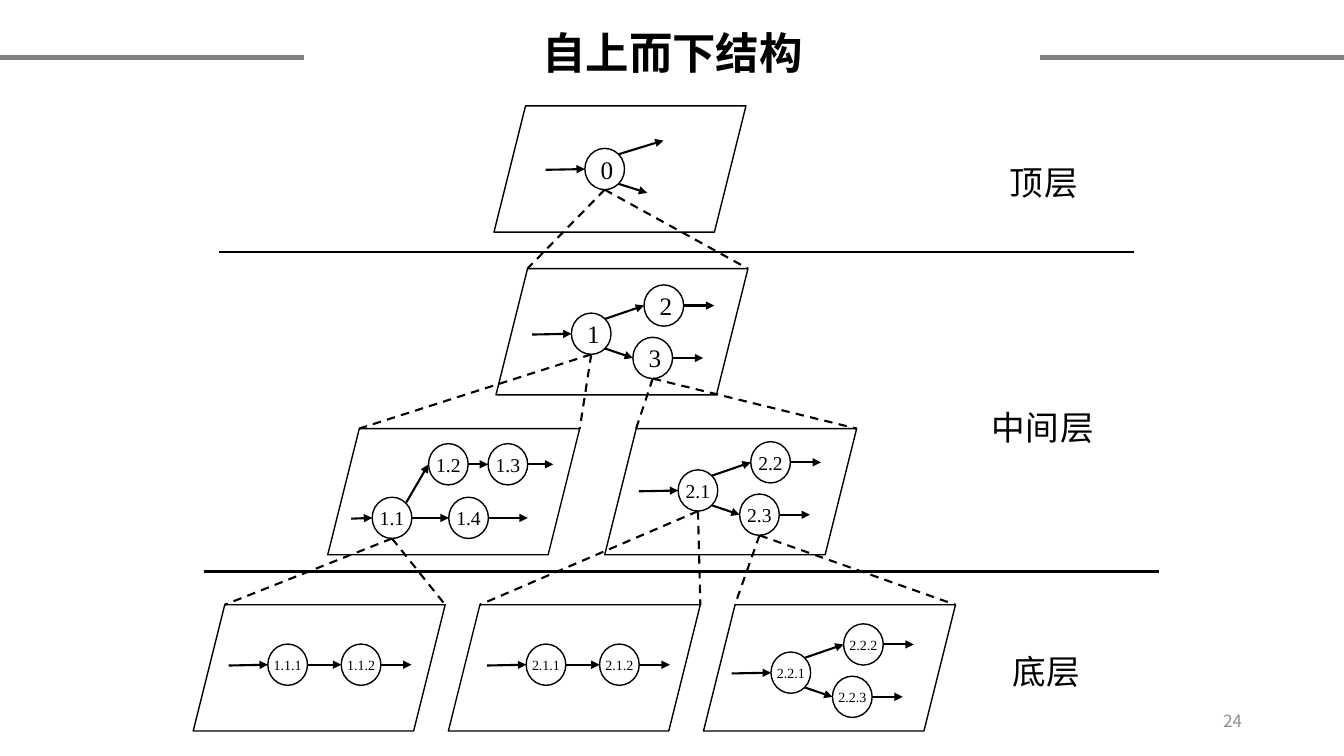
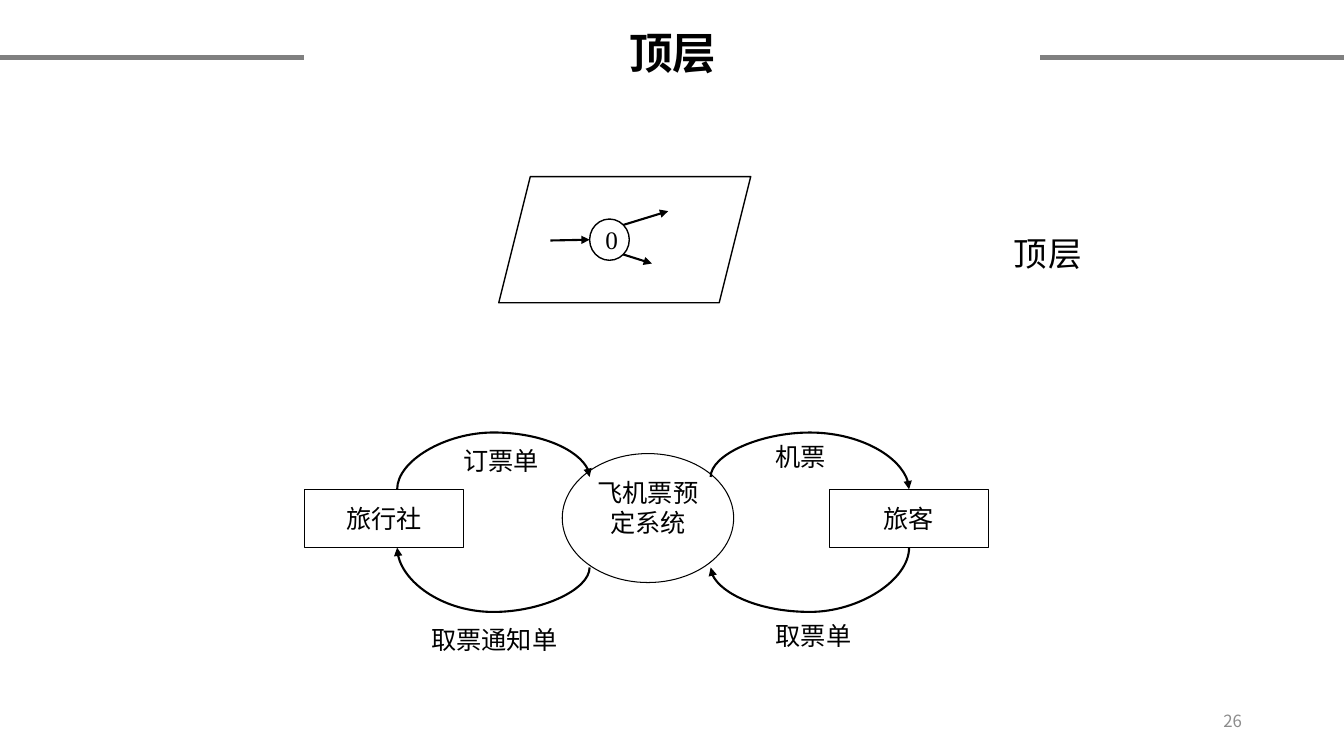
import lxml.etree
import pptx
import pptx.dml.color
import pptx.enum.dml
import pptx.enum.shapes
import pptx.enum.text
import pptx.oxml.ns
import pptx.util

Cm = pptx.util.Cm
Pt = pptx.util.Pt
qn = pptx.oxml.ns.qn
SHAPE = pptx.enum.shapes.MSO_SHAPE
CONNECTOR = pptx.enum.shapes.MSO_CONNECTOR
ANCHOR = pptx.enum.text.MSO_ANCHOR
ALIGN = pptx.enum.text.PP_ALIGN

COLORS = {"ink": "000000", "paper": "FFFFFF", "rule": "808080", "page": "8C8C8C"}
SANS, SERIF, LABEL = "Noto Sans CJK SC", "Times New Roman", "Arial"
SLIDE_W, SLIDE_H = 33.87, 19.05
PANEL_W, PANEL_H, PANEL_SLANT = 6.35, 3.18, 0.79
NODE_W, NODE_H = 1.0, 1.04
EXIT = 0.77


def rgb(name):
    return pptx.dml.color.RGBColor.from_string(COLORS[name])


def write(frame, text, size, face, color="ink", align=ALIGN.LEFT, bold=False):
    paragraph = frame.paragraphs[0]
    paragraph.text = text
    paragraph.alignment = align
    font = paragraph.font
    font.size = Pt(size)
    font.name = face
    font.bold = bold
    font.color.rgb = rgb(color)
    lxml.etree.SubElement(font._rPr, qn("a:ea"), typeface=face)
    return paragraph


def text_box(slide, left, top, width, height, wrap=False, anchor=ANCHOR.TOP):
    frame = slide.shapes.add_textbox(Cm(left), Cm(top), Cm(width), Cm(height)).text_frame
    frame.word_wrap = wrap
    frame.vertical_anchor = anchor
    return frame


def outline(slide, kind, left, top, width, height, weight=1, filled=True):
    shape = slide.shapes.add_shape(kind, Cm(left), Cm(top), Cm(width), Cm(height))
    shape.shadow.inherit = False
    if filled:
        shape.fill.solid()
        shape.fill.fore_color.rgb = rgb("paper")
    else:
        shape.fill.background()
    shape.line.color.rgb = rgb("ink")
    shape.line.width = Pt(weight)
    return shape


def connect(slide, start, end, arrow=False, dashed=False, color="ink", weight=1.5,
            kind=CONNECTOR.STRAIGHT):
    connector = slide.shapes.add_connector(kind, *(Cm(v) for v in (*start, *end)))
    connector.line.color.rgb = rgb(color)
    connector.line.width = Pt(weight)
    if dashed:
        connector.line.dash_style = pptx.enum.dml.MSO_LINE.DASH
    properties = connector._element.spPr
    if arrow:
        lxml.etree.SubElement(properties.find(qn("a:ln")), qn("a:tailEnd"), type="triangle")
    lxml.etree.SubElement(properties, qn("a:effectLst"))
    return connector


def arc(slide, start, end, crest, turn=1):
    dx, dy = end[0] - start[0], end[1] - start[1]
    mid_x, mid_y = (start[0] + end[0]) / 2, (start[1] + end[1]) / 2
    along, across = turn * dy / 2, -turn * dx / 2
    curve = connect(slide, (mid_x - along, mid_y - across), (mid_x + along, mid_y + across),
                    arrow=True, kind=CONNECTOR.CURVE)
    properties = curve._element.spPr
    properties.find(qn("a:xfrm")).set("rot", str(5400000 if turn > 0 else 16200000))
    bend = round((crest - start[1]) / dy * 100000)
    lxml.etree.SubElement(properties.find(qn("a:prstGeom")).find(qn("a:avLst")),
                          qn("a:gd"), name="adj1", fmla=f"val {bend}")


def frame_slide(deck, title, page):
    slide = deck.slides.add_slide(deck.slide_layouts[6])
    number = text_box(slide, 23.93, 17.65, 7.62, 1.02, True, ANCHOR.MIDDLE)
    write(number, page, 12, SANS, "page", ALIGN.RIGHT)
    heading = text_box(slide, 3.28, -0.15, 27.33, 3.1, True, ANCHOR.MIDDLE)
    paragraph = write(heading, title, 31, SANS, align=ALIGN.CENTER, bold=True)
    paragraph.line_spacing = 0.9
    paragraph.space_after = Pt(12)
    for left in (0, SLIDE_W - 7.65):
        connect(slide, (left, 1.45), (left + 7.65, 1.45), color="rule", weight=3)
    return slide


def tier_label(slide, text, left, top):
    frame = text_box(slide, left, top, 0.86 * len(text) + 0.54, 1.8)
    paragraph = write(frame, text, 24, LABEL)
    paragraph.line_spacing = 1.5
    paragraph.font._rPr.set("spc", "50")


def panel(slide, left, top):
    outline(slide, SHAPE.PARALLELOGRAM, left, top, PANEL_W, PANEL_H)


def process(slide, number, left, top, size, leaving=0, entering=0):
    node = outline(slide, SHAPE.FLOWCHART_CONNECTOR, left, top, NODE_W, NODE_H)
    frame = node.text_frame
    if size < 18:
        frame.margin_left = frame.margin_right = frame.margin_top = frame.margin_bottom = 0
    write(frame, number, size, SERIF, align=ALIGN.CENTER)
    middle = top + NODE_H / 2
    if entering:
        connect(slide, (left - entering, middle + 0.02), (left, middle), arrow=True)
    if leaving:
        connect(slide, (left + NODE_W, middle), (left + NODE_W + leaving, middle), arrow=True)
    return left + NODE_W / 2, top + NODE_H


def branch(slide, left, top, upper, lower):
    connect(slide, (left + 0.84, top + 0.15), upper, arrow=True)
    connect(slide, (left + 0.84, top + 0.89), lower, arrow=True)


def system_panel(slide, left, top):
    panel(slide, left, top)
    x, y = left + 2.29, top + 1.07
    root = process(slide, "0", x, y, 18, entering=0.99)
    branch(slide, x, y, (x + 1.98, y - 0.2), (x + 1.57, y + 1.12))
    return root


def fan_panel(slide, left, top, numbers, size, dx, dy):
    panel(slide, left, top)
    x, y = left + dx, top + dy
    upper, lower = (x + 1.83, y - 0.71), (x + 1.55, y + 0.61)
    root = process(slide, numbers[0], x, y, size, entering=0.99)
    branch(slide, x, y, (upper[0], upper[1] + NODE_H / 2), (lower[0], lower[1] + NODE_H / 2))
    return [root] + [process(slide, number, *place, size, EXIT)
                     for number, place in zip(numbers[1:], (upper, lower))]


def chain_panel(slide, left, top, numbers, dx):
    panel(slide, left, top)
    x, y, pitch = left + dx, top + 0.99, 1.85
    process(slide, numbers[0], x, y, 10, pitch - NODE_W, 0.99)
    process(slide, numbers[1], x + pitch, y, 10, EXIT)


def two_row_panel(slide, left, top):
    panel(slide, left, top)
    x, y = left + 1.12, top + 1.73
    upper = y - 1.35
    root = process(slide, "1.1", x, y, 14, 0.93, 0.53)
    connect(slide, (x + 0.86, y + 0.13), (x + 1.42, upper + NODE_H / 2), arrow=True)
    process(slide, "1.2", x + 1.42, upper, 14, 0.5)
    process(slide, "1.3", x + 2.92, upper, 14, 0.64)
    process(slide, "1.4", x + 1.93, y, 14, 0.99)
    return root


def expand(slide, source, left, top):
    for corner in (left + PANEL_SLANT, left + PANEL_W):
        connect(slide, source, (corner, top), dashed=True)


def hierarchy_slide(deck):
    slide = frame_slide(deck, "自上而下结构", "24")
    main, left_mid, right_mid = (12.5, 6.77), (8.26, 10.8), (15.24, 10.8)
    bottom = [(4.87 + 6.43 * i, 15.24) for i in range(3)]

    system = system_panel(slide, 12.45, 2.67)
    first, _, third = fan_panel(slide, *main, ("1", "2", "3"), 18, 1.9, 1.12)
    first_part = two_row_panel(slide, *left_mid)
    second_part, _, last_part = fan_panel(slide, *right_mid, ("2.1", "2.2", "2.3"), 14, 1.85, 1.04)
    chain_panel(slide, *bottom[0], ("1.1.1", "1.1.2"), 1.88)
    chain_panel(slide, *bottom[1], ("2.1.1", "2.1.2"), 1.96)
    fan_panel(slide, *bottom[2], ("2.2.1", "2.2.2", "2.2.3"), 10, 1.7, 1.19)

    sources = (system, first, third, first_part, second_part, last_part)
    for source, target in zip(sources, (main, left_mid, right_mid, *bottom)):
        expand(slide, source, *target)
    for left, right, y in ((5.51, 28.58, 6.35), (5.13, 29.21, 14.4)):
        connect(slide, (left, y), (right, y))
    for text, left, top in (("顶层", 25.2, 3.45), ("中间层", 24.74, 9.63), ("底层", 25.27, 15.77)):
        tier_label(slide, text, left, top)


def context_diagram(slide, left, top):
    def at(x, y):
        return left + x, top + y

    for text, x in (("旅行社", 0), ("旅客", 13.23)):
        party = outline(slide, SHAPE.RECTANGLE, *at(x, 1.43), 4.01, 1.47, 0.75)
        write(party.text_frame, text, 18, SANS, align=ALIGN.CENTER)
    booking = outline(slide, SHAPE.OVAL, *at(6.5, 0.53), 4.32, 3.25, 0.75, filled=False)
    booking.text_frame.vertical_anchor = ANCHOR.TOP
    write(booking.text_frame, "飞机票预定系统", 18, SANS, align=ALIGN.CENTER)

    agency, entry, outlet, traveller = 2.34, 7.19, 10.24, 15.24
    arc(slide, at(agency, 1.43), at(entry, 1.12), top)
    arc(slide, at(outlet, 1.12), at(traveller, 1.43), top, turn=-1)
    arc(slide, at(entry, 3.4), at(agency, 2.9), top + 4.52)
    arc(slide, at(traveller, 2.9), at(outlet, 3.4), top + 4.52)

    for text, x, y in (("订票单", 3.76, 0.2), ("取票通知单", 2.95, 4.7),
                       ("机票", 11.63, 0.1), ("取票单", 11.63, 4.6)):
        flow = text_box(slide, *at(x, y), 0.635 * len(text) + 0.51, 1.02)
        write(flow, text, 18, SANS)


def top_level_slide(deck):
    slide = frame_slide(deck, "顶层", "26")
    system_panel(slide, 12.57, 4.45)
    tier_label(slide, "顶层", 25.3, 5.23)
    context_diagram(slide, 7.67, 10.9)


def main():
    deck = pptx.Presentation()
    deck.slide_width, deck.slide_height = Cm(SLIDE_W), Cm(SLIDE_H)
    hierarchy_slide(deck)
    top_level_slide(deck)
    deck.save("out.pptx")


if __name__ == "__main__":
    main()
